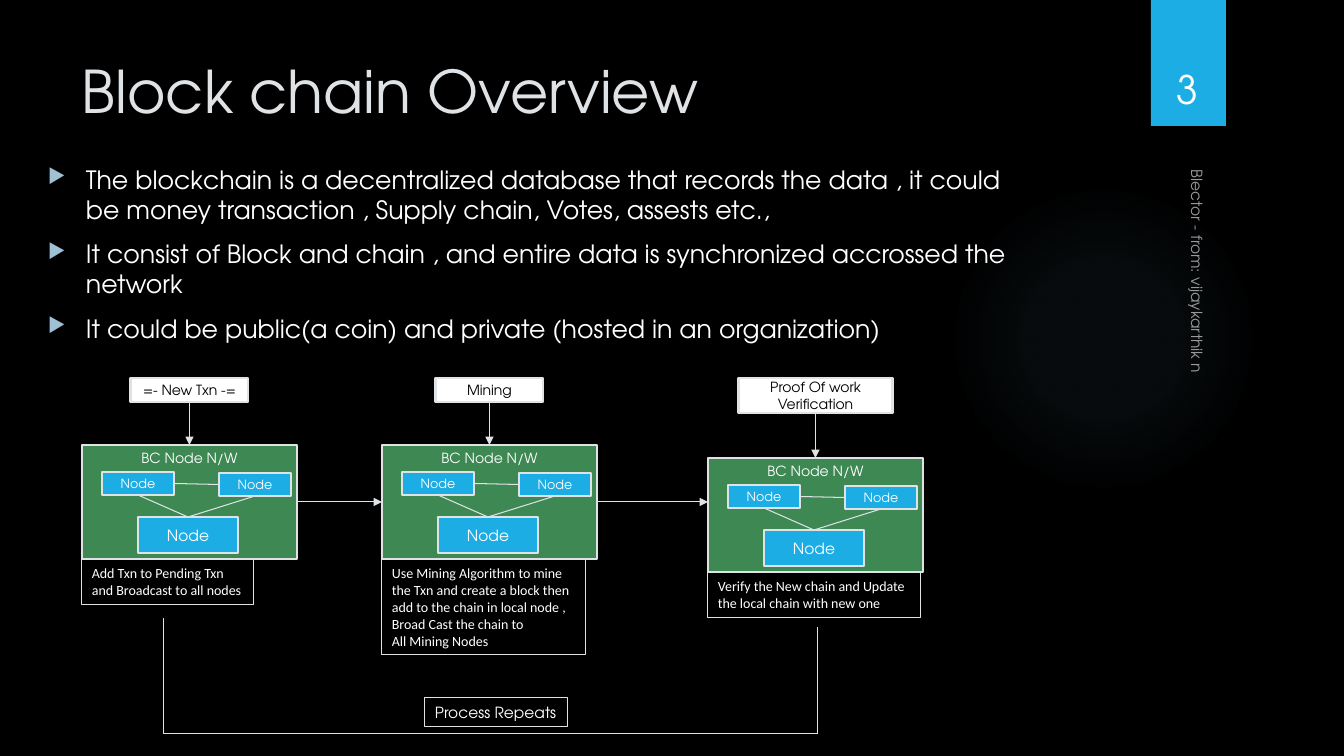
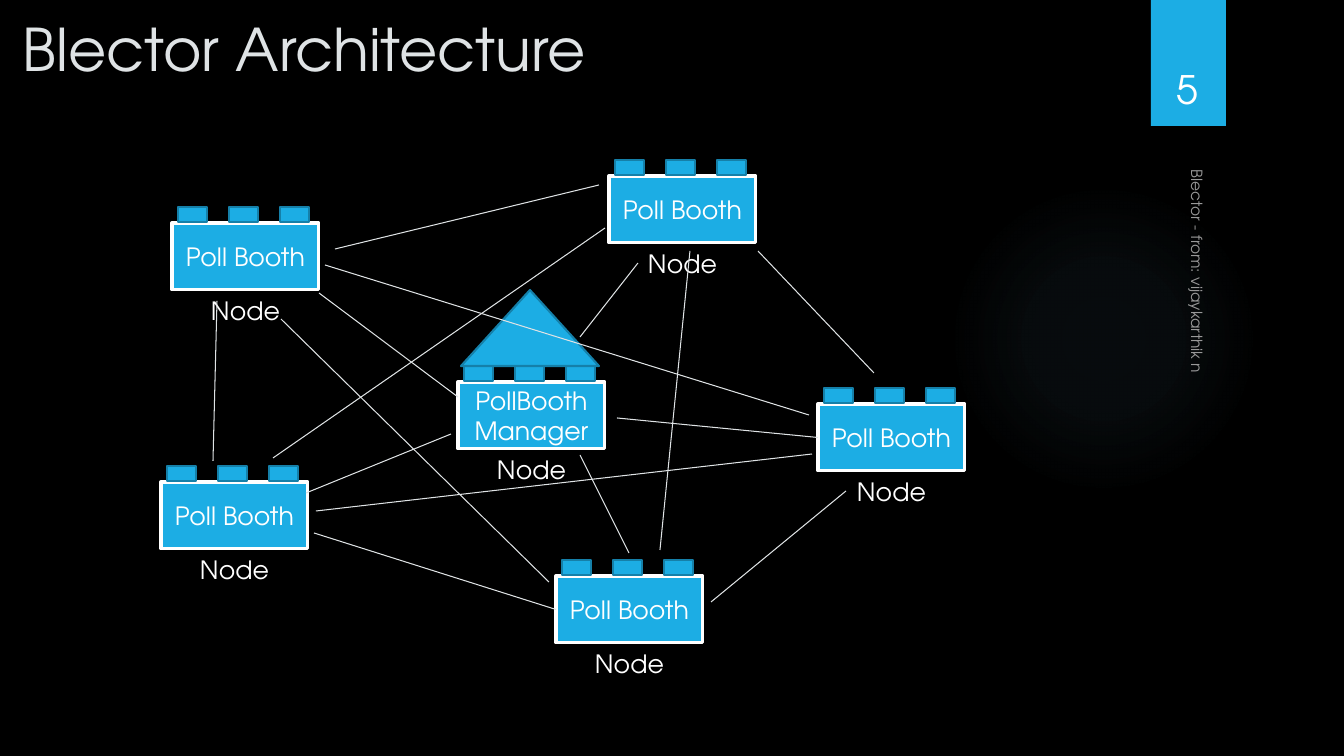
from dataclasses import dataclass

from lxml.etree import SubElement
from pptx import Presentation
from pptx.dml.color import RGBColor
from pptx.enum.shapes import MSO_CONNECTOR, MSO_SHAPE
from pptx.enum.text import MSO_ANCHOR, MSO_AUTO_SIZE, PP_ALIGN
from pptx.oxml import parse_xml
from pptx.oxml.ns import nsdecls, qn
from pptx.util import Emu, Pt

PX = 914400 / 100.8
TOP, LEFT, BOTTOM, RIGHT = range(4)


@dataclass(frozen=True)
class Theme:
    font: str = "TeX Gyre Adventor"
    note_font: str = "Calibri"
    black: str = "000000"
    white: str = "FFFFFF"
    pale: str = "DFE3E5"
    grey: str = "999999"
    blue: str = "1CADE4"
    dark_blue: str = "1580A9"
    green: str = "3E8853"
    bullet: str = "A0C1D5"
    glow: str = "70A1C0"
    title: int = 42
    number: int = 28
    body: int = 18
    medium: int = 11
    small: int = 10
    tiny: int = 9


THEME = Theme()
FOOTER = "Blector - from: vijaykarthik n"

BULLETS = [
    "The blockchain is a decentralized database that records the data , it could "
    "be money transaction , Supply chain, Votes, assests etc.,",
    "It consist of Block and chain , and entire data is synchronized accrossed the network",
    "It could be public(a coin) and private (hosted in an organization)",
]

# block corner, label size and lines, note size and lines
STAGES = [
    ((82, 445), (118, 24), ["=- New Txn -="],
     (172, 45), ["Add Txn to Pending Txn", "and Broadcast to all nodes"]),
    ((382, 445), (108, 24), ["Mining"],
     (204, 95), ["Use Mining Algorithm to mine", "the Txn and create a block then",
                 "add to the chain in local node ,", "Broad Cast the chain to",
                 "All Mining Nodes"]),
    ((708, 458), (154, 35), ["Proof Of work", "Verification"],
     (213, 45), ["Verify the New chain and Update", "the local chain with new one"]),
]
BLOCK_SIZE = (215, 114)
LABEL_TOP = 378
# offset in the block, size, type size
BLOCK_NODES = [
    ((56, 72), (100, 36), THEME.medium),
    ((20, 27), (72, 23), THEME.tiny),
    ((137, 28), (72, 23), THEME.tiny),
]
RETURN_ROUTE = [(818, 627), (818, 734), (164, 734), (164, 618)]

BOOTHS = {
    "west": ((172, 223), "Poll Booth"),
    "southwest": ((161, 482), "Poll Booth"),
    "north": ((609, 176), "Poll Booth"),
    "south": ((556, 576), "Poll Booth"),
    "east": ((818, 404), "Poll Booth"),
    "manager": ((458, 382), "PollBooth Manager"),
}
BOOTH_SIZE = (147, 67)
STUD_SIZE = (29, 15)
STUD_STEP = 51
# a name instead of a point means the middle of that booth's left side
LINKS = [
    ((319, 293), (458, 397)), ((306, 493), (451, 434)),
    ((617, 418), "east"), ((580, 455), (629, 553)),
    ((638, 263), (580, 337)), ((217, 301), (213, 461)),
    ((314, 533), "south"), ((711, 602), (846, 491)),
    ((758, 251), (874, 373)), ((335, 249), (599, 185)),
    ((281, 319), (549, 582)), ((273, 458), (605, 228)),
    ((316, 511), (812, 454)), ((690, 251), (660, 550)),
    ((325, 265), (809, 415)),
]


def px(*lengths):
    return [Emu(round(length * PX)) for length in lengths]


def color(value):
    return RGBColor.from_string(value)


def write(shape, lines, size, ink=THEME.white, font=THEME.font,
          align=PP_ALIGN.LEFT, anchor=MSO_ANCHOR.TOP, wrap=True):
    frame = shape.text_frame
    frame.word_wrap = wrap
    frame.vertical_anchor = anchor
    if not wrap:
        frame.auto_size = MSO_AUTO_SIZE.SHAPE_TO_FIT_TEXT
    for index, line in enumerate(lines):
        para = frame.add_paragraph() if index else frame.paragraphs[0]
        para.alignment = align
        span = para.add_run()
        span.text = line
        span.font.name = font
        span.font.size = Pt(size)
        span.font.color.rgb = color(ink)


def add_text(page, corner, extent, lines, size, **style):
    box = page.shapes.add_textbox(*px(*corner, *extent))
    write(box, lines, size, **style)
    return box


def outline(shape, ink, width):
    shape.line.color.rgb = color(ink)
    shape.line.width = Pt(width)


def add_shape(page, corner, extent, fill, line=None, width=1.5, kind=MSO_SHAPE.RECTANGLE):
    shape = page.shapes.add_shape(kind, *px(*corner, *extent))
    shape.shadow.inherit = False
    shape.fill.solid()
    shape.fill.fore_color.rgb = color(fill)
    if line:
        outline(shape, line, width)
    else:
        shape.line.fill.background()
    return shape


def add_label(page, corner, extent, lines, size, fill=THEME.blue, line=THEME.pale,
              width=1.5, ink=THEME.white, anchor=MSO_ANCHOR.MIDDLE):
    shape = add_shape(page, corner, extent, fill, line, width)
    write(shape, lines, size, ink, align=PP_ALIGN.CENTER, anchor=anchor)
    return shape


def add_link(page, start, end, arrow=False):
    """Draw a line; each end is a point or a (shape, side) pair to join."""
    points = [(0, 0) if hasattr(stop[0], "shape_id") else stop for stop in (start, end)]
    link = page.shapes.add_connector(MSO_CONNECTOR.STRAIGHT, *px(*points[0], *points[1]))
    for stop, connect in ((start, link.begin_connect), (end, link.end_connect)):
        if hasattr(stop[0], "shape_id"):
            connect(*stop)
    outline(link, THEME.pale, 0.75)
    properties = link.element.spPr
    if arrow:
        SubElement(properties.find(qn("a:ln")), qn("a:tailEnd"), type="triangle")
    SubElement(properties, qn("a:effectLst"))


def add_glow(page):
    glow = add_shape(page, (949, 184), (310, 310), THEME.glow, kind=MSO_SHAPE.OVAL)
    stops = "".join(
        f'<a:gs pos="{place * 1000}"><a:srgbClr val="{THEME.glow}">'
        f'<a:alpha val="{alpha * 1000}"/></a:srgbClr></a:gs>'
        for place, alpha in ((0, 7), (36, 6), (69, 0)))
    gradient = parse_xml(
        f'<a:gradFill {nsdecls("a")}><a:gsLst>{stops}</a:gsLst><a:path path="circle">'
        '<a:fillToRect l="50000" t="50000" r="50000" b="50000"/></a:path></a:gradFill>')
    properties = glow.element.spPr
    properties.replace(properties.find(qn("a:solidFill")), gradient)


def add_page(deck, number, title, title_corner, title_size):
    page = deck.slides.add_slide(deck.slide_layouts[6])
    page.background.fill.solid()
    page.background.fill.fore_color.rgb = color(THEME.black)
    add_glow(page)
    add_shape(page, (1151, 0), (75, 126), THEME.blue)
    add_text(page, title_corner, title_size, [title], THEME.title, ink=THEME.pale)
    footer = add_text(page, (987, 356), (425, 33), [FOOTER], THEME.medium,
                      ink=THEME.grey, anchor=MSO_ANCHOR.BOTTOM)
    footer.rotation = 90
    add_text(page, (1141, 32), (93, 85), [str(number)], THEME.number,
             align=PP_ALIGN.CENTER, anchor=MSO_ANCHOR.BOTTOM)
    return page


def add_bullets(page):
    box = add_text(page, (38, 159), (986, 219), BULLETS, THEME.body)
    indent = px(38)[0]
    for para in box.text_frame.paragraphs:
        para.space_before = Pt(10)
        properties = para._p.get_or_add_pPr()
        properties.set("marL", str(indent))
        properties.set("indent", str(-indent))
        tint = SubElement(properties, qn("a:buClr"))
        SubElement(tint, qn("a:srgbClr"), val=THEME.bullet)
        SubElement(properties, qn("a:buSzPct"), val="80000")
        SubElement(properties, qn("a:buChar"), char="▶")


def add_stage(page, corner, label_size, label, note_size, note):
    x, y = corner
    width, height = BLOCK_SIZE
    block = add_label(page, corner, BLOCK_SIZE, ["BC Node N/W"], THEME.small,
                      fill=THEME.green, anchor=MSO_ANCHOR.TOP)
    hub, left, right = [
        add_label(page, (x + dx, y + dy), extent, ["Node"], size)
        for (dx, dy), extent, size in BLOCK_NODES]
    add_link(page, (hub, TOP), (left, BOTTOM))
    add_link(page, (hub, TOP), (right, BOTTOM))
    add_link(page, (left, RIGHT), (right, LEFT))
    label_x = x + (width - label_size[0]) / 2
    heading = add_label(page, (label_x, LABEL_TOP), label_size, label, THEME.small,
                        fill=THEME.white, ink=THEME.black)
    add_link(page, (heading, BOTTOM), (block, TOP), arrow=True)
    note_box = add_text(page, (x, y + height + 1), note_size, note, THEME.small,
                        font=THEME.note_font, wrap=False)
    outline(note_box, THEME.pale, 0.75)
    return block


def add_overview(deck):
    page = add_page(deck, 3, "Block chain Overview", (72, 50), (1037, 154))
    add_bullets(page)
    first, second, third = [add_stage(page, *stage) for stage in STAGES]
    add_link(page, (first, RIGHT), (second, LEFT), arrow=True)
    add_link(page, (second, RIGHT), (708, 502), arrow=True)
    for start, end in zip(RETURN_ROUTE, RETURN_ROUTE[1:]):
        add_link(page, start, end)
    repeat = add_text(page, (425, 698), (143, 29), ["Process Repeats"],
                      THEME.medium, wrap=False)
    outline(repeat, THEME.pale, 0.75)


def add_booth(page, corner, name):
    x, y = corner
    booth = add_label(page, corner, BOOTH_SIZE, [name], THEME.body,
                      line=THEME.white, width=2.25)
    add_text(page, (x + 29, y + BOOTH_SIZE[1]), (90, 40), ["Node"], THEME.body, wrap=False)
    for index in range(3):
        add_shape(page, (x + 6 + index * STUD_STEP, y - 16), STUD_SIZE,
                  THEME.blue, THEME.dark_blue)
    return booth


def add_architecture(deck):
    page = add_page(deck, 5, "Blector Architecture", (13, 8), (1037, 82))
    booths = {key: add_booth(page, *booth) for key, booth in BOOTHS.items()}
    add_shape(page, (461, 290), (138, 76), THEME.blue, THEME.dark_blue,
              kind=MSO_SHAPE.ISOSCELES_TRIANGLE)
    for start, end in LINKS:
        add_link(page, start, (booths[end], LEFT) if end in booths else end)


def main():
    deck = Presentation()
    deck.slide_width, deck.slide_height = px(1344, 756)
    add_overview(deck)
    add_architecture(deck)
    deck.save("out.pptx")


if __name__ == "__main__":
    main()
